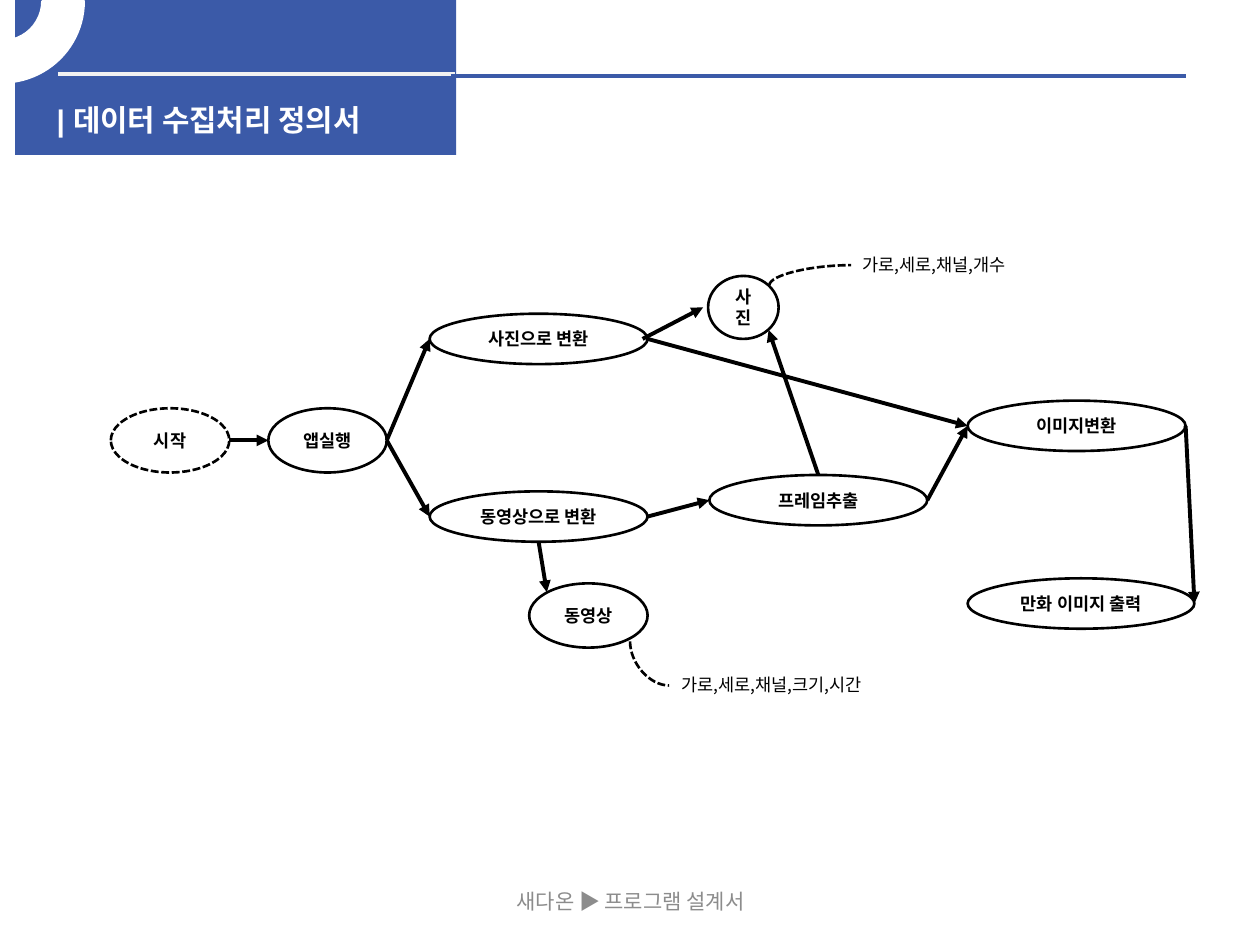
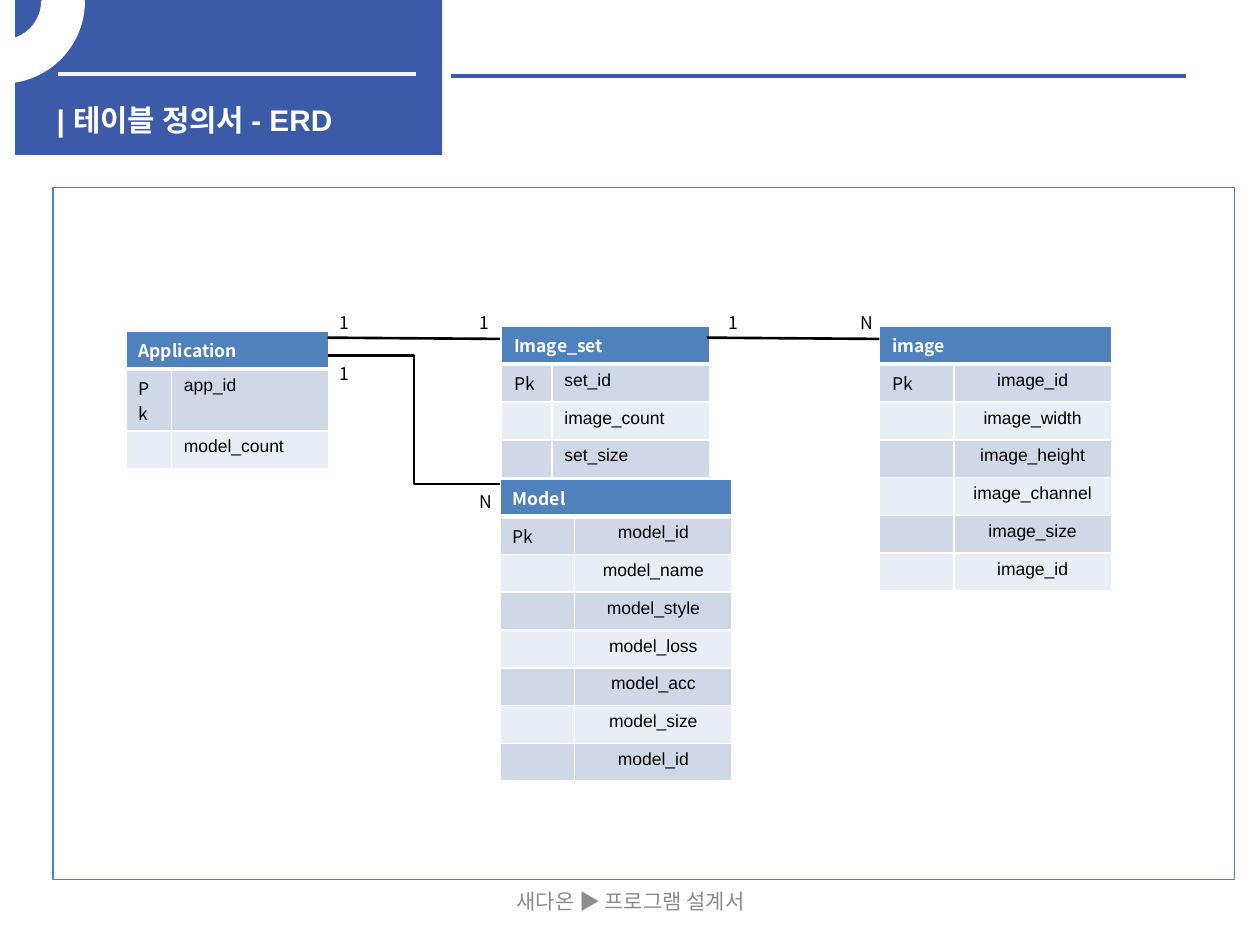
from lxml import etree
from pptx import Presentation
from pptx.dml.color import RGBColor
from pptx.enum.dml import MSO_LINE
from pptx.enum.shapes import MSO_CONNECTOR, MSO_SHAPE
from pptx.enum.text import MSO_ANCHOR, PP_ALIGN
from pptx.oxml.ns import qn
from pptx.util import Inches, Pt

LEFT, CENTER = PP_ALIGN.LEFT, PP_ALIGN.CENTER
TOP, MIDDLE = MSO_ANCHOR.TOP, MSO_ANCHOR.MIDDLE
STRAIGHT, ELBOW, CURVE = MSO_CONNECTOR.STRAIGHT, MSO_CONNECTOR.ELBOW, MSO_CONNECTOR.CURVE
RECTANGLE, OVAL, BLOCK_ARC = MSO_SHAPE.RECTANGLE, MSO_SHAPE.OVAL, MSO_SHAPE.BLOCK_ARC
SHORT_DASH = MSO_LINE.SQUARE_DOT

COLORS = {
    "band": "3B5AA8",
    "rule": "F2F2F2",
    "white": "FFFFFF",
    "black": "000000",
    "footer": "8C8C8C",
    "header": "4F81BD",
    "odd_row": "D0D8E8",
    "even_row": "E9EDF4",
}
LATIN_FONT = "Arial"
KOREAN_FONT = "Noto Sans CJK KR"
FOOTER = "새다온 ▶ 프로그램 설계서"
ROW_HEIGHT = 0.3
FIELD_WIDTH = 1.25

NODES = {
    "시작": (0.88, 3.24, 0.94, 0.51),
    "앱실행": (2.13, 3.24, 0.94, 0.51),
    "사진으로 변환": (3.41, 2.49, 1.73, 0.4),
    "동영상으로 변환": (3.41, 3.9, 1.73, 0.4),
    "사진": (5.62, 2.19, 0.56, 0.5),
    "동영상": (4.2, 4.63, 0.94, 0.51),
    "프레임추출": (5.63, 3.77, 1.73, 0.4),
    "이미지변환": (7.68, 3.18, 1.73, 0.4),
    "만화 이미지 출력": (7.68, 4.59, 1.8, 0.4),
}
SIDES = {"left": (0, 0.5), "right": (1, 0.5), "top": (0.5, 0), "bottom": (0.5, 1)}


def color(name):
    return RGBColor.from_string(COLORS[name])


def write_text(frame, text, size=10, font=KOREAN_FONT, text_color="black",
               bold=False, align=LEFT, anchor=TOP, wrap=True):
    frame.word_wrap = wrap
    frame.vertical_anchor = anchor
    paragraph = frame.paragraphs[0]
    paragraph.alignment = align
    run = paragraph.add_run()
    run.text = text
    run.font.size = Pt(size)
    run.font.name = font
    run.font.bold = bold
    run.font.color.rgb = color(text_color)
    east_asian = etree.SubElement(run.font._element, qn("a:ea"))
    east_asian.set("typeface", KOREAN_FONT)


def add_text(slide, box, text, **text_format):
    text_box = slide.shapes.add_textbox(*map(Inches, box))
    write_text(text_box.text_frame, text, **text_format)


def add_shape(slide, kind, box, fill=None, line=None, width=1.5, dash=None):
    shape = slide.shapes.add_shape(kind, *map(Inches, box))
    shape.shadow.inherit = False
    if fill:
        shape.fill.solid()
        shape.fill.fore_color.rgb = color(fill)
    else:
        shape.fill.background()
    if line:
        shape.line.color.rgb = color(line)
        shape.line.width = Pt(width)
        shape.line.dash_style = dash
    else:
        shape.line.fill.background()
    return shape


def add_line(slide, start, end, kind=STRAIGHT, line="black", width=1.5, dash=None, arrow=False):
    connector = slide.shapes.add_connector(kind, *map(Inches, (*start, *end)))
    connector.line.color.rgb = color(line)
    connector.line.width = Pt(width)
    connector.line.dash_style = dash
    if arrow:
        tail = etree.SubElement(connector.line._get_or_add_ln(), qn("a:tailEnd"))
        tail.set("type", "triangle")
    etree.SubElement(connector._element.spPr, qn("a:effectLst"))
    return connector


def add_dashed_curve(slide, start, end, rotation):
    connector = add_line(slide, start, end, kind=CURVE, dash=SHORT_DASH)
    properties = connector._element.spPr
    properties.find(qn("a:prstGeom")).set("prst", "curvedConnector2")
    properties.find(qn("a:xfrm")).set("rot", str(rotation * 60000))


def add_page_frame(slide, title, band_width, rule_end):
    add_shape(slide, RECTANGLE, (0.12, 0, band_width, 1.23), fill="band")
    add_line(slide, (0.46, 0.59), (rule_end, 0.59), line="rule", width=2.25)
    add_line(slide, (3.58, 0.6), (9.41, 0.6), line="band", width=2.25)
    add_text(slide, (0.35, 0.76, 3.15, 0.32), title, size=17, font=LATIN_FONT,
             text_color="white", bold=True, wrap=False)
    ring = add_shape(slide, BLOCK_ARC, (-0.63, -0.63, 1.29, 1.28),
                     fill="white", line="white", width=2)
    for index, value in enumerate((96.95, 0, 0.25)):
        ring.adjustments[index] = value
    ring._element.spPr.find(qn("a:xfrm")).set("flipV", "1")
    add_text(slide, (3.42, 6.95, 3.17, 0.4), FOOTER, size=12, text_color="footer",
             align=CENTER, anchor=MIDDLE)


def add_node(slide, label):
    dash = SHORT_DASH if label == "시작" else None
    node = add_shape(slide, OVAL, NODES[label], fill="white", line="black", dash=dash)
    write_text(node.text_frame, label, bold=True, align=CENTER, anchor=MIDDLE)


def node_point(label, side):
    left, top, width, height = NODES[label]
    across, down = SIDES[side]
    return left + width * across, top + height * down


def style_cell(cell, fill, thick_edge=None):
    properties = cell._tc.get_or_add_tcPr()
    for edge in ("lnL", "lnR", "lnT", "lnB"):
        width = Pt(3 if edge == thick_edge else 1)
        border = etree.SubElement(properties, qn(f"a:{edge}"), w=str(width))
        solid = etree.SubElement(border, qn("a:solidFill"))
        etree.SubElement(solid, qn("a:srgbClr"), val=COLORS["white"])
    cell.fill.solid()
    cell.fill.fore_color.rgb = color(fill)


def write_cell(cell, text, **text_format):
    if text:
        write_text(cell.text_frame, text, **text_format)
    else:
        cell.text_frame.paragraphs[0]._p.get_or_add_endParaRPr().set("sz", "1000")


def add_entity(slide, name, fields, left, top, key_width, align=LEFT, key_height=ROW_HEIGHT):
    heights = [ROW_HEIGHT, key_height] + [ROW_HEIGHT] * (len(fields) - 1)
    table = slide.shapes.add_table(
        len(heights), 2, Inches(left), Inches(top),
        Inches(key_width + FIELD_WIDTH), Inches(sum(heights))).table
    for column, width in zip(table.columns, (key_width, FIELD_WIDTH)):
        column.width = Inches(width)
    for row, height in zip(table.rows, heights):
        row.height = Inches(height)
    for cell in table.rows[0].cells:
        style_cell(cell, "header", thick_edge="lnB")
    table.cell(0, 0).merge(table.cell(0, 1))
    write_cell(table.cell(0, 0), name, text_color="white", bold=True)
    for index, field in enumerate(fields, start=1):
        key_cell, field_cell = table.cell(index, 0), table.cell(index, 1)
        for cell in (key_cell, field_cell):
            style_cell(cell, "odd_row" if index % 2 else "even_row",
                       thick_edge="lnT" if index == 1 else None)
        write_cell(key_cell, "Pk" if index == 1 else "")
        write_cell(field_cell, field, font=LATIN_FONT, align=align)


def build_flow_slide(slide):
    add_page_frame(slide, "| 데이터 수집처리 정의서", band_width=3.5, rule_end=3.61)
    for label in NODES:
        add_node(slide, label)
    links = [
        ("시작", "right", "앱실행", "left"),
        ("앱실행", "right", "사진으로 변환", "left"),
        ("앱실행", "right", "동영상으로 변환", "left"),
        ("동영상으로 변환", "right", "프레임추출", "left"),
        ("프레임추출", "right", "이미지변환", "left"),
        ("사진으로 변환", "right", "이미지변환", "left"),
        ("이미지변환", "right", "만화 이미지 출력", "right"),
    ]
    arrows = [(node_point(source, source_side), node_point(target, target_side))
              for source, source_side, target, target_side in links]
    arrows += [
        ((5.1, 2.69), (5.58, 2.44)),
        (node_point("동영상으로 변환", "bottom"), (4.34, 4.7)),
        (node_point("프레임추출", "top"), (6.1, 2.62)),
    ]
    for start, end in arrows:
        add_line(slide, start, end, width=2.25, arrow=True)
    add_dashed_curve(slide, (6.51, 2.51), (6.35, 1.86), rotation=90)
    add_dashed_curve(slide, (5.33, 5.11), (4.98, 5.42), rotation=270)
    add_text(slide, (6.75, 1.97, 2.74, 0.27), "가로,세로,채널,개수")
    add_text(slide, (5.31, 5.3, 2.74, 0.27), "가로,세로,채널,크기,시간")


def build_entity_slide(slide):
    add_page_frame(slide, "| 테이블 정의서 - ERD", band_width=3.39, rule_end=3.3)
    add_shape(slide, RECTANGLE, (0.42, 1.49, 9.38, 5.49), line="header", width=0.75)
    model_fields = ["model_id", "model_name", "model_style", "model_loss",
                    "model_acc", "model_size", "model_id"]
    image_fields = ["image_id", "image_width", "image_height", "image_channel",
                    "image_size", "image_id"]
    add_entity(slide, "Model", model_fields, 3.97, 3.8, key_width=0.59, align=CENTER)
    add_entity(slide, "image", image_fields, 6.98, 2.59, key_width=0.59, align=CENTER)
    add_entity(slide, "Image_set", ["set_id", "image_count", "set_size"],
               3.98, 2.59, key_width=0.4)
    add_entity(slide, "Application", ["app_id", "model_count"],
               1, 2.63, key_width=0.36, key_height=0.49)
    add_line(slide, (3.97, 2.69), (2.6, 2.68))
    add_line(slide, (2.6, 2.82), (3.97, 3.84), kind=ELBOW)
    add_line(slide, (6.98, 2.69), (5.61, 2.68))
    cardinalities = [("1", 2.6, 2.43), ("1", 3.71, 2.43), ("1", 5.68, 2.43),
                     ("N", 6.73, 2.43), ("N", 3.71, 3.85), ("1", 2.6, 2.83)]
    for label, left, top in cardinalities:
        add_text(slide, (left, top, 0.26, 0.27), label)


def main():
    presentation = Presentation()
    presentation.slide_width = Inches(10)
    presentation.slide_height = Inches(7.5)
    blank_layout = presentation.slide_layouts[6]
    for build_slide in (build_flow_slide, build_entity_slide):
        build_slide(presentation.slides.add_slide(blank_layout))
    presentation.save("out.pptx")


if __name__ == "__main__":
    main()
